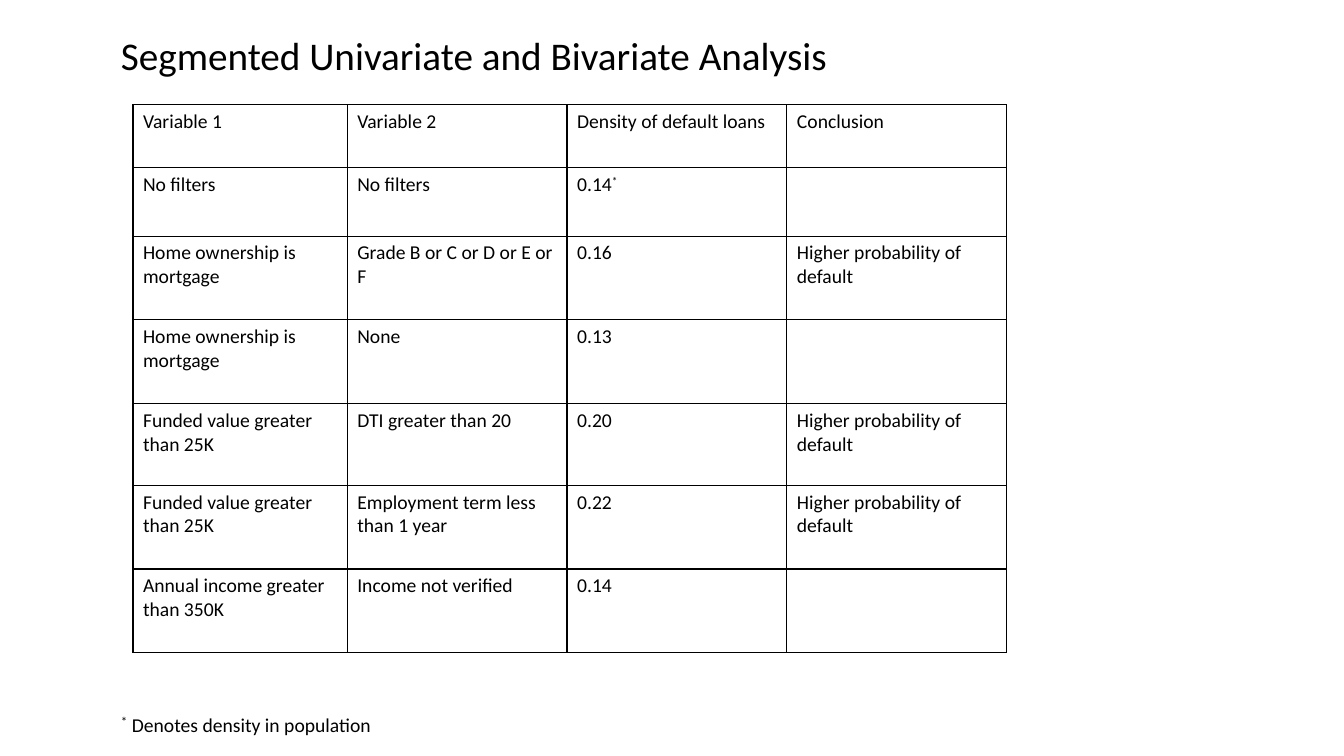
from lxml.etree import SubElement
from pptx import Presentation
from pptx.dml.color import RGBColor
from pptx.enum.text import MSO_ANCHOR
from pptx.oxml.ns import qn
from pptx.util import Cm, Pt

THEME = {
    "font": "Calibri",
    "ink": RGBColor(0, 0, 0),
    "title": Pt(28),
    "body": Pt(14),
    "mark": Pt(16),
    "border": Pt(1),
}


def add_run(paragraph, text, size, raised=False):
    run = paragraph.add_run()
    run.text = text
    run.font.color.rgb = THEME["ink"]
    for name, value in {"name": THEME["font"], "size": size}.items():
        setattr(run.font, name, value)
    if raised:
        run.font._element.set("baseline", "30000")


def add_text_box(left, top, width, height):
    text_box = slide.shapes.add_textbox(Cm(left), Cm(top), Cm(width), Cm(height))
    text_frame = text_box.text_frame
    for name, value in {"word_wrap": True, "vertical_anchor": MSO_ANCHOR.TOP}.items():
        setattr(text_frame, name, value)
    return text_frame.paragraphs[0]


presentation = Presentation()
presentation.slide_width = Cm(33.87)
presentation.slide_height = Cm(19.05)
slide = presentation.slides.add_slide(presentation.slide_layouts[6])

# Title
title = add_text_box(2.8, 0.79, 28.27, 0.97)
title.line_spacing = 0.9
add_run(title, "Segmented Univariate and Bivariate Analysis", THEME["title"])

# Loan default table
HIGHER = "Higher probability of default"
MORTGAGE = "Home ownership is mortgage"
FUNDED = "Funded value greater than 25K"
rows = [
    ("Variable 1", "Variable 2", "Density of default loans", "Conclusion"),
    ("No filters", "No filters", "0.14*", ""),
    (MORTGAGE, "Grade B or C or D or E or F", "0.16", HIGHER),
    (MORTGAGE, "None", "0.13", ""),
    (FUNDED, "DTI greater than 20", "0.20", HIGHER),
    (FUNDED, "Employment term less than 1 year", "0.22", HIGHER),
    ("Annual income greater than 350K", "Income not verified", "0.14", ""),
]
column_widths = [5.4] + [5.54] * 3
row_heights = [1.58, 1.73, 2.11, 2.11, 2.06, 2.11, 2.11]
table = slide.shapes.add_table(
    len(rows), len(column_widths), Cm(3.35), Cm(2.64),
    Cm(sum(column_widths)), Cm(sum(row_heights)),
).table
table.first_row = table.horz_banding = False
for column, width in zip(table.columns, column_widths):
    column.width = Cm(width)

for row, height, texts in zip(table.rows, row_heights, rows):
    row.height = Cm(height)
    for cell, text in zip(row.cells, texts):
        # Cell borders come before the fill in the cell properties
        properties = cell._tc.get_or_add_tcPr()
        for side in ("a:lnL", "a:lnR", "a:lnT", "a:lnB"):
            line = SubElement(properties, qn(side), w=str(THEME["border"]))
            fill = SubElement(line, qn("a:solidFill"))
            SubElement(fill, qn("a:srgbClr"), val=str(THEME["ink"]))
        cell.fill.background()
        paragraph = cell.text_frame.paragraphs[0]
        paragraph.font.size = THEME["body"]
        if text:
            add_run(paragraph, text.rstrip("*"), THEME["body"])
        if text.endswith("*"):
            add_run(paragraph, "*", THEME["body"], raised=True)

# Footnote
footnote = add_text_box(2.8, 17.78, 21.08, 0.94)
add_run(footnote, "*", THEME["mark"], raised=True)
add_run(footnote, " Denotes density in population", THEME["body"])

presentation.save("out.pptx")
